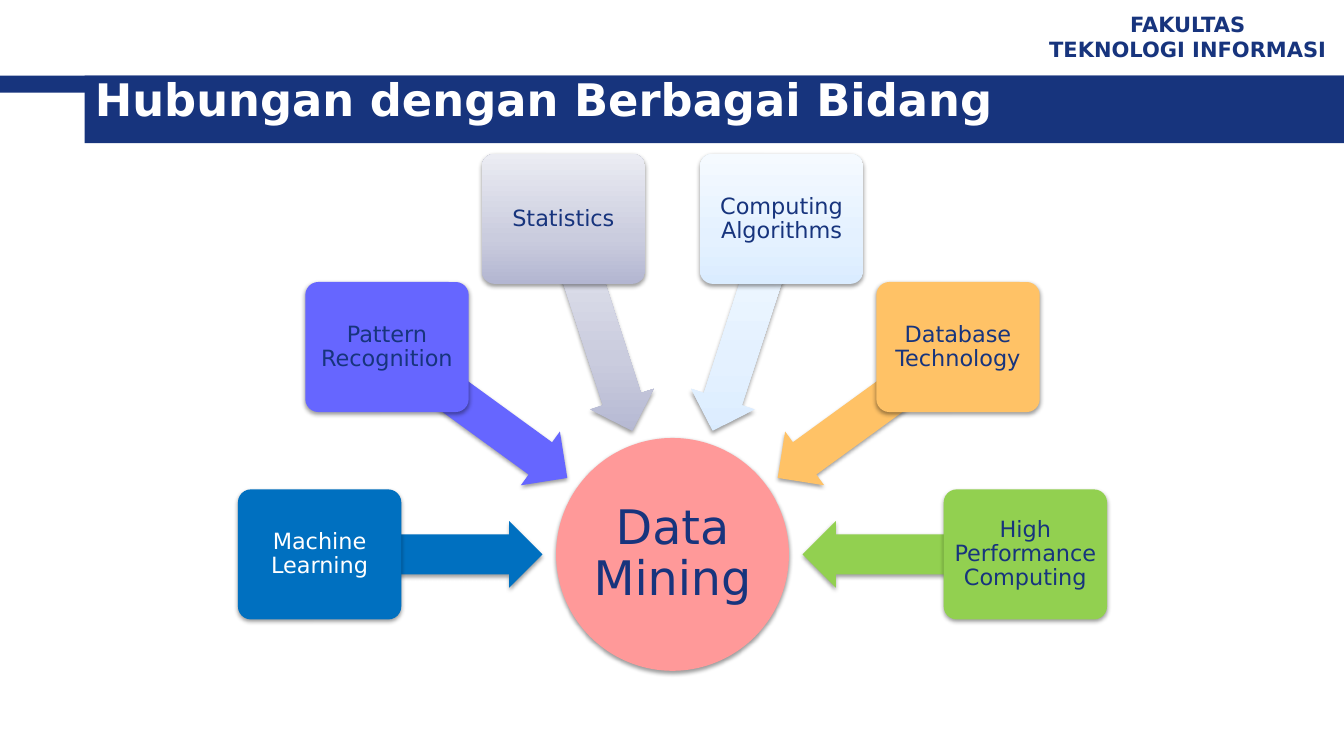
from math import cos, radians, sin
from typing import NamedTuple

from lxml.etree import SubElement
from pptx import Presentation
from pptx.dml.color import RGBColor
from pptx.enum.shapes import MSO_SHAPE as Preset
from pptx.enum.text import MSO_ANCHOR as Anchor, MSO_AUTO_SIZE as AutoSize, PP_ALIGN as Align
from pptx.oxml import parse_xml
from pptx.oxml.ns import nsdecls, qn
from pptx.shapes.autoshape import Shape
from pptx.slide import Slide
from pptx.text.text import TextFrame
from pptx.util import Inches, Pt

COLORS = {
    "navy": "17347D", "white": "FFFFFF", "pink": "FF9999", "blue": "0070C0",
    "violet": "6666FF", "orange": "FFC266", "green": "92D050",
}
GRADIENTS = {
    "lavender": ((0, "B3B6D1"), (35, "CACCDE"), (100, "EBECF3")),
    "ice": ((0, "DAECFF"), (35, "E4F1FF"), (100, "F5FAFF")),
}
FONT = "DejaVu Sans"
HUB_X, HUB_Y, HUB_SIZE = 6.67, 5.5, 2.31
FIELD_RADIUS, FIELD_WIDTH, FIELD_HEIGHT = 3.5, 1.62, 1.29
ARROW_RADIUS, ARROW_LENGTH, ARROW_HEIGHT = 2.4, 2.22, 0.66


class Field(NamedTuple):
    label: str
    fill: str
    text_color: str = "navy"


class Box(NamedTuple):
    left: float
    top: float
    width: float
    height: float


FIELDS = (
    Field("Machine Learning", "blue", "white"),
    Field("Pattern Recognition", "violet"),
    Field("Statistics", "lavender"),
    Field("Computing Algorithms", "ice"),
    Field("Database Technology", "orange"),
    Field("High Performance Computing", "green"),
)
HEADER_BARS = (Box(0, 0.75, 13.33, 0.17), Box(0.84, 0.75, 12.49, 0.67))


def around_hub(radius: float, angle: float, width: float, height: float) -> Box:
    """Centre a box at a clockwise angle from the hub's left side."""
    x = HUB_X - radius * cos(radians(angle))
    y = HUB_Y - radius * sin(radians(angle))
    return Box(x - width / 2, y - height / 2, width, height)


def paint(shape: Shape, fill: str) -> None:
    """Fill with a plain colour or an upright gradient that ignores rotation."""
    if fill in COLORS:
        shape.fill.solid()
        shape.fill.fore_color.rgb = RGBColor.from_string(COLORS[fill])
        return
    stops = "".join(
        f'<a:gs pos="{percent * 1000}"><a:srgbClr val="{color}"/></a:gs>'
        for percent, color in GRADIENTS[fill]
    )
    gradient = parse_xml(
        f'<a:gradFill {nsdecls("a")} rotWithShape="0"><a:gsLst>{stops}</a:gsLst>'
        '<a:lin ang="16200000" scaled="0"/></a:gradFill>'
    )
    shape._element.spPr.find(qn("a:prstGeom")).addnext(gradient)


def cast_shadow(shape: Shape) -> None:
    effects = shape._element.spPr.find(qn("a:effectLst"))
    shadow = SubElement(
        effects, qn("a:outerShdw"),
        blurRad=str(Pt(3.1)), dist=str(Pt(1.6)), dir="5400000", rotWithShape="0",
    )
    black = SubElement(shadow, qn("a:srgbClr"), val="000000")
    SubElement(black, qn("a:alpha"), val="38000")


def add_preset(slide: Slide, preset: Preset, box: Box, fill: str,
               adjustments: tuple[float, ...] = ()) -> Shape:
    shape = slide.shapes.add_shape(preset, *map(Inches, box))
    for index, value in enumerate(adjustments):
        shape.adjustments[index] = value
    shape.line.fill.background()
    shape.shadow.inherit = False
    paint(shape, fill)
    return shape


def write(frame: TextFrame, text: str, size: float, color: str, bold: bool = False,
          align: Align = Align.CENTER, spacing: float = 1.0, inset: float | None = None) -> None:
    frame.text = text
    frame_format = {"word_wrap": True, "auto_size": AutoSize.NONE, "vertical_anchor": Anchor.MIDDLE}
    if inset is not None:
        for side in ("left", "right", "top", "bottom"):
            frame_format[f"margin_{side}"] = Inches(inset)
    for name, value in frame_format.items():
        setattr(frame, name, value)
    font_format = {"name": FONT, "size": Pt(size), "bold": bold}
    for paragraph in frame.paragraphs:
        paragraph.alignment = align
        paragraph.line_spacing = spacing
        for run in paragraph.runs:
            for name, value in font_format.items():
                setattr(run.font, name, value)
            run.font.color.rgb = RGBColor.from_string(COLORS[color])


def add_header(slide: Slide) -> None:
    for bar in HEADER_BARS:
        add_preset(slide, Preset.RECTANGLE, bar, "navy")
    faculty = slide.shapes.add_textbox(*map(Inches, Box(10.23, 0.05, 3.1, 0.62)))
    write(faculty.text_frame, "FAKULTAS\nTEKNOLOGI INFORMASI", 15, "navy", bold=True)

    title = slide.shapes.title
    title_box = Box(0.84, 0.6, 9.31, 0.75)
    for name, value in title_box._asdict().items():
        setattr(title, name, Inches(value))
    write(title.text_frame, "Hubungan dengan Berbagai Bidang", 32, "white",
          bold=True, align=Align.LEFT)
    slide.shapes._spTree.append(title._element)  # bring the title in front of the bars


def add_hub(slide: Slide) -> None:
    hub = add_preset(slide, Preset.OVAL, around_hub(0, 0, HUB_SIZE, HUB_SIZE), "pink")
    cast_shadow(hub)
    write(hub.text_frame, "Data Mining", 34, "navy", spacing=0.9, inset=0.02)


def add_field(slide: Slide, field: Field, angle: float) -> None:
    """Draw a field's box and the arrow leading from it to the hub."""
    arrow_box = around_hub(ARROW_RADIUS, angle, ARROW_LENGTH, ARROW_HEIGHT)
    arrow = add_preset(slide, Preset.LEFT_ARROW, arrow_box, field.fill, (0.6, 0.5))
    arrow.rotation = (180 + angle) % 360
    cast_shadow(arrow)
    field_box = around_hub(FIELD_RADIUS, angle, FIELD_WIDTH, FIELD_HEIGHT)
    card = add_preset(slide, Preset.ROUNDED_RECTANGLE, field_box, field.fill, (0.1,))
    cast_shadow(card)
    write(card.text_frame, field.label, 16, field.text_color, spacing=0.9, inset=0.03)


def main() -> None:
    deck = Presentation()
    deck.slide_width, deck.slide_height = Inches(13.33), Inches(7.5)
    slide = deck.slides.add_slide(deck.slide_layouts.get_by_name("Title Only"))
    add_header(slide)
    add_hub(slide)
    step = 180 / (len(FIELDS) - 1)
    for index, field in enumerate(FIELDS):
        add_field(slide, field, index * step)
    deck.save("out.pptx")


if __name__ == "__main__":
    main()
